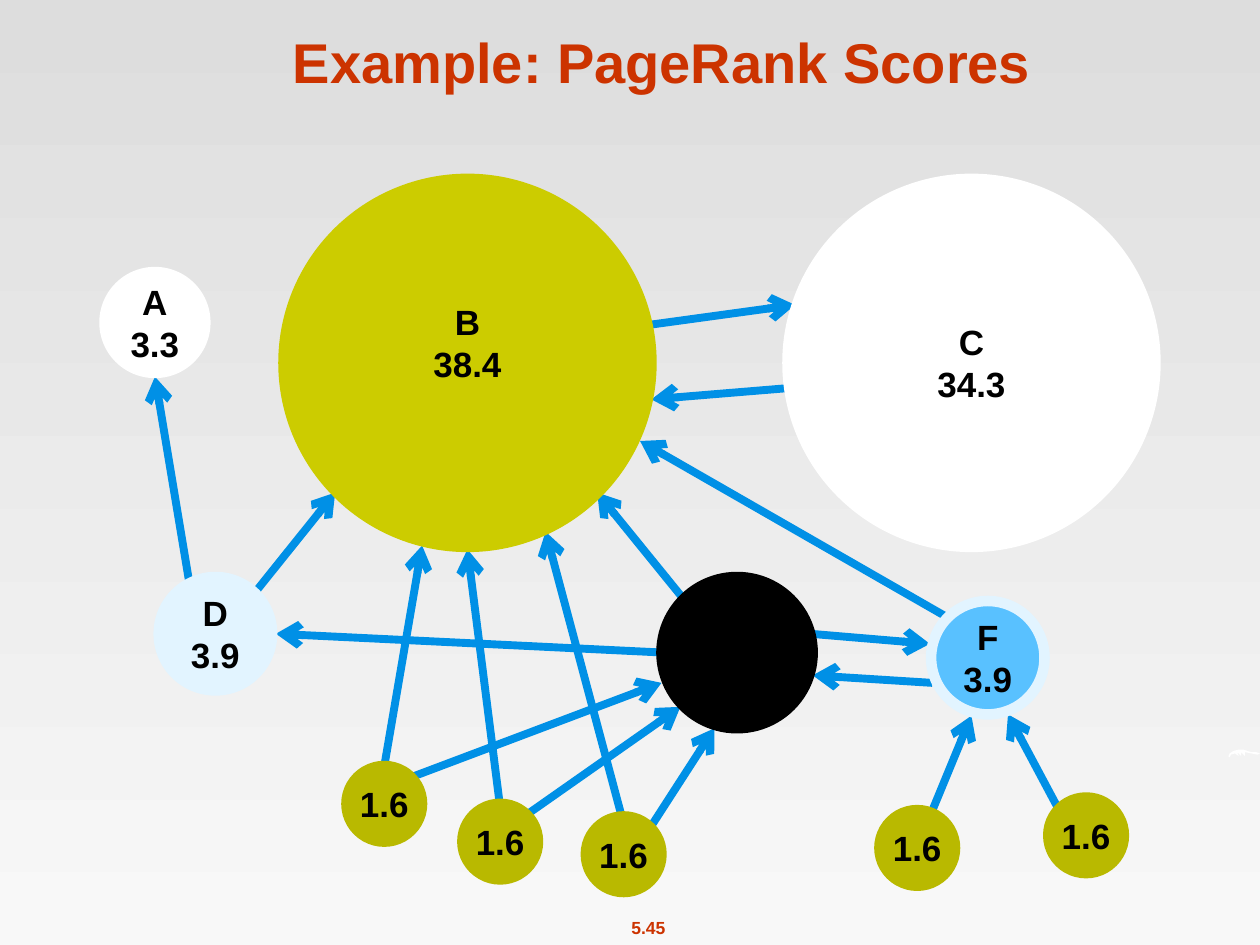
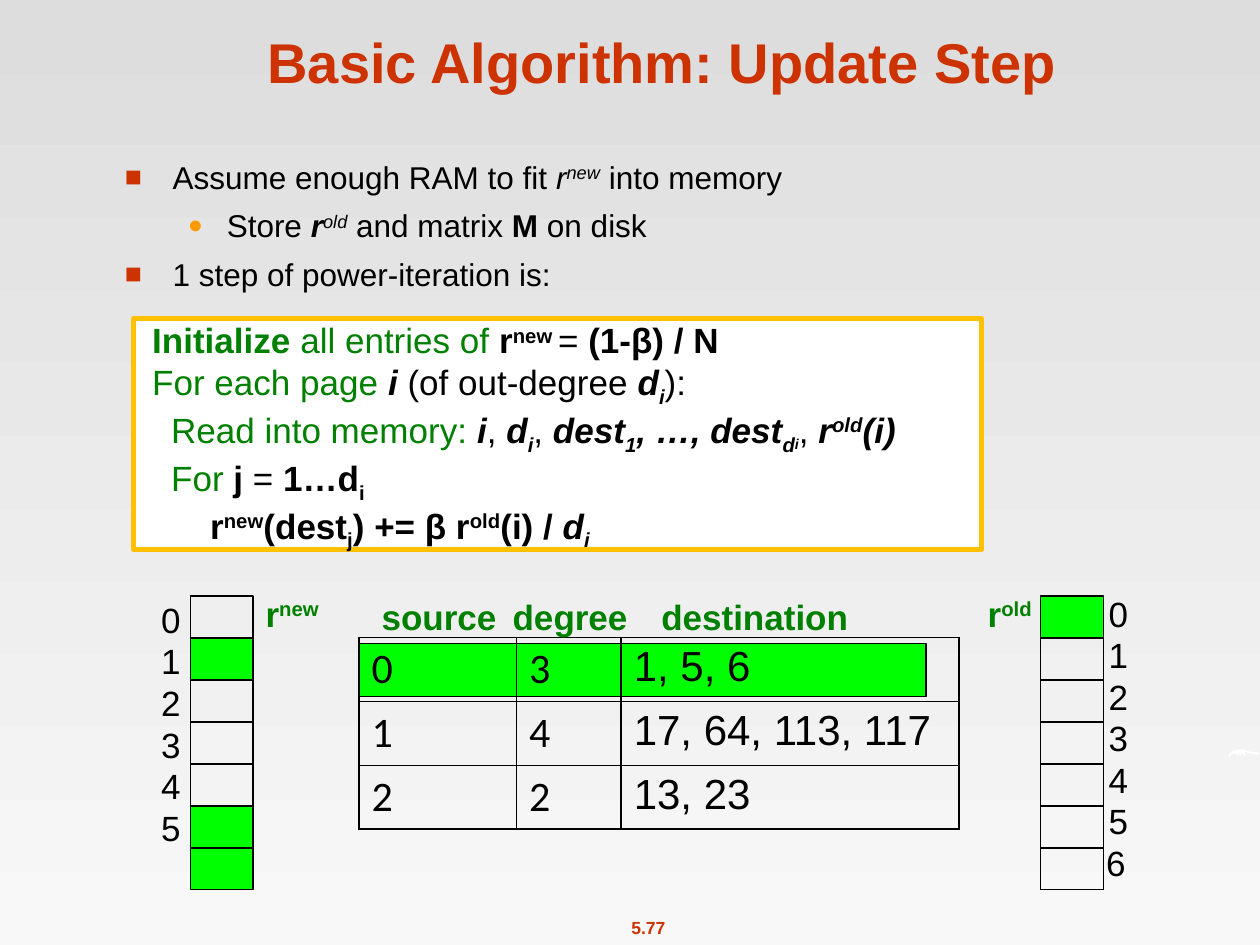
import pptx
import pptx.dml.color
import pptx.enum.shapes
import pptx.enum.text
import pptx.oxml
import pptx.oxml.ns
import pptx.util
from pptx.util import Inches, Pt

RGB = pptx.dml.color.RGBColor
RED = RGB(0xCC, 0x33, 0x00)
ORANGE = RGB(0xFF, 0x99, 0x00)
AMBER = RGB(0xFF, 0xC0, 0x00)
BLACK = RGB(0, 0, 0)
WHITE = RGB(0xFF, 0xFF, 0xFF)
GREEN = RGB(0x00, 0x80, 0x00)
LIME = RGB(0x00, 0xFF, 0x00)
OLIVE = RGB(0xB9, 0xB9, 0x00)
YELLOW = RGB(0xCC, 0xCC, 0x00)
BLUE = RGB(0x00, 0x90, 0xE6)
SKY = RGB(0x59, 0xC1, 0xFF)
PALE = RGB(0xE2, 0xF4, 0xFF)
GRAY_TOP = RGB(0xDD, 0xDD, 0xDD)
GRAY_BOTTOM = RGB(0xF8, 0xF8, 0xF8)

NS = pptx.oxml.ns.nsdecls("a")
SHAPE = pptx.enum.shapes.MSO_SHAPE
ANCHOR = pptx.enum.text.MSO_ANCHOR
AUTO_SIZE = pptx.enum.text.MSO_AUTO_SIZE
CENTER = pptx.enum.text.PP_ALIGN.CENTER


def write(p, runs, size=20, color=BLACK, font="Arial"):
    """Add (text, flags) runs: b bold, i italic, g green, ^ raised, _ lowered, s small."""
    for text, flags in runs:
        r = p.add_run()
        r.text = text
        values = {"name": font, "size": Pt(14 if "s" in flags else size),
                  "bold": "b" in flags, "italic": "i" in flags}
        for key, value in values.items():
            setattr(r.font, key, value)
        r.font.color.rgb = GREEN if "g" in flags else color
        for mark, baseline in (("^", "30000"), ("_", "-25000")):
            if mark in flags:
                r._r.get_or_add_rPr().set("baseline", baseline)


def add_shape(shapes, kind, x, y, w, h, fill, line, width):
    sp = shapes.add_shape(kind, Inches(x), Inches(y), Inches(w), Inches(h))
    sp.shadow.inherit = False
    if fill is None:
        sp.fill.background()
    else:
        sp.fill.solid()
        sp.fill.fore_color.rgb = fill
    sp.line.color.rgb = line
    sp.line.width = Pt(width)
    return sp


prs = pptx.Presentation()
prs.slide_width, prs.slide_height = Inches(10), Inches(7.5)

# Shared background, title, page number and edge mark
background = prs.slide_master.background.fill
background.gradient()
background.gradient_angle = 270
for stop, position, color in zip(background.gradient_stops, (0, 1), (GRAY_TOP, GRAY_BOTTOM)):
    stop.position = position
    stop.color.rgb = color

# Hundredths of an inch, as a freeform takes whole numbers
SWOOSH = [(975, 600), (976, 598), (979, 596), (983, 595), (987, 595), (993, 597),
          (997, 597), (1000, 598), (998, 599), (993, 598), (988, 597),
          (988, 600), (985, 597), (985, 600), (982, 597), (983, 600),
          (980, 598), (977, 599), (976, 601)]
labels = []  # slide, left, top, width, height, runs, size, colour
for layout, title, number in ((5, "Example: PageRank Scores", "5.45"),
                              (1, "Basic Algorithm: Update Step", "5.77")):
    s = prs.slides.add_slide(prs.slide_layouts[layout])
    sp = s.shapes.title
    sp.left, sp.top, sp.width, sp.height = map(Inches, (0.84, 0.13, 8.83, 0.67))
    tf = sp.text_frame
    tf.auto_size = AUTO_SIZE.NONE
    tf.vertical_anchor = ANCHOR.BOTTOM
    tf.paragraphs[0].alignment = CENTER
    write(tf.paragraphs[0], [(title, "b")], 32, RED)
    builder = s.shapes.build_freeform(975, 601, scale=Inches(0.01))
    builder.add_line_segments(SWOOSH, close=True)
    sp = builder.convert_to_shape()
    sp.shadow.inherit = False
    sp.fill.solid()
    sp.fill.fore_color.rgb = WHITE
    sp.line.fill.background()
    labels.append((s, 4.9, 7.23, 0.49, 0.27, [(number, "b")], 10, RED))

# Slide 1: link graph
s = prs.slides[0]
LINKS = [
    (5.14, 2.58, 6.31, 2.42), (6.26, 3.08, 5.17, 3.17), (5.43, 4.76, 4.74, 3.91),
    (2.01, 4.72, 2.66, 3.91), (1.5, 4.61, 1.23, 2.99), (3.05, 6.08, 3.35, 4.33),
    (3.26, 6.17, 5.25, 5.42), (5.28, 5.18, 2.19, 5.03), (3.97, 6.41, 3.71, 4.36),
    (4.16, 6.48, 5.4, 5.61), (5.16, 6.57, 5.67, 5.78), (4.95, 6.54, 4.33, 4.22),
    (7.38, 6.48, 7.71, 5.68), (8.4, 6.42, 8, 5.67), (7.52, 4.9, 5.08, 3.5),
    (7.4, 5.42, 6.45, 5.36), (6.43, 5.03, 7.38, 5.11),
]
for link in LINKS:
    c = s.shapes.add_connector(pptx.enum.shapes.MSO_CONNECTOR.STRAIGHT, *map(Inches, link))
    c.line.color.rgb = BLUE
    c.line.width = Pt(4.5)
    c.line._get_or_add_ln().append(pptx.oxml.parse_xml(f'<a:tailEnd {NS} type="arrow"/>'))
    c._element.spPr.append(pptx.oxml.parse_xml(f"<a:effectLst {NS}/>"))

PAGES = [  # left, top, diameter, fill, line, text lines
    (2.25, 1.42, 2.92, YELLOW, YELLOW, ("B", "38.4")),
    (6.25, 1.42, 2.92, WHITE, WHITE, ("C", "34.3")),
    (5.25, 4.58, 1.2, BLACK, BLACK, ()),
    (7.39, 4.77, 0.9, SKY, PALE, ("F", "3.9")),
    (1.26, 4.58, 0.9, PALE, PALE, ("D", "3.9")),
    (0.83, 2.16, 0.8, WHITE, WHITE, ("A", "3.3")),
]
for x, y in ((2.75, 6.08), (3.67, 6.38), (4.65, 6.48), (6.98, 6.43), (8.32, 6.33)):
    PAGES.append((x, y, 0.6, OLIVE, OLIVE, ("1.6",)))
for x, y, size, fill, line, lines in PAGES:
    sp = add_shape(s.shapes, SHAPE.OVAL, x, y, size, size, fill, line, 6)
    tf = sp.text_frame
    raised = 0.33 if "B" in lines else 0
    for key, value in {"margin_left": 0, "margin_right": 0, "margin_top": 0,
                       "margin_bottom": Inches(raised), "word_wrap": False,
                       "vertical_anchor": ANCHOR.MIDDLE}.items():
        setattr(tf, key, value)
    for i, text in enumerate(lines):
        p = tf.add_paragraph() if i else tf.paragraphs[0]
        p.alignment = CENTER
        write(p, [(text, "b")])

# Slide 2: bullets
s = prs.slides[1]
sp = s.placeholders[1]
sp.left, sp.top, sp.width, sp.height = map(Inches, (0.89, 1.2, 8.38, 5.36))
tf = sp.text_frame
tf.auto_size = AUTO_SIZE.NONE
BULLETS = [
    (0, [("Assume enough RAM to fit ", ""), ("r", "i"), ("new", "i^"), (" into memory", "")]),
    (1, [("Store ", ""), ("r", "bi"), ("old", "i^"), (" and matrix ", ""), ("M", "b"),
         (" on disk", "")]),
    (0, [("1 step of power-iteration is:", "")]),
]
BULLET_STYLES = [(0.38, 0.38, RED, 90, "■"), (0.81, 0.31, ORANGE, 80, "●")]
for i, (level, runs) in enumerate(BULLETS):
    p = tf.add_paragraph() if i else tf.paragraphs[0]
    p.level = level
    p.space_before = Pt(6.3)
    margin, hanging, color, percent, char = BULLET_STYLES[level]
    pPr = p._p.get_or_add_pPr()
    pPr.set("marL", str(Inches(margin)))
    pPr.set("indent", str(-Inches(hanging)))
    for xml in (f'<a:buClr {NS}><a:srgbClr val="{color}"/></a:buClr>',
                f'<a:buSzPct {NS} val="{percent}000"/>',
                f'<a:buFont {NS} typeface="Arial"/>',
                f'<a:buChar {NS} char="{char}"/>'):
        pPr.append(pptx.oxml.parse_xml(xml))
    write(p, runs, 18)

# Slide 2: rank vectors and code frame
add_shape(s.shapes, SHAPE.RECTANGLE, 1.06, 2.53, 6.73, 1.83, WHITE, AMBER, 3)
add_shape(s.shapes, SHAPE.RECTANGLE, 2.85, 5.11, 4.5, 0.42, LIME, BLACK, 0.75)
new_cells = s.shapes.add_group_shape().shapes
VECTORS = [  # container, left, filled cells, label left, label top, label count
    (new_cells, 1.51, (1, 5, 6), 1.18, 4.7, 6),
    (s.shapes, 8.26, (0,), 8.7, 4.65, 7),
]
for shapes, x, filled, label_x, label_y, count in VECTORS:
    for i in range(7):
        add_shape(shapes, SHAPE.RECTANGLE, x, 4.73 + i / 3, 0.5, 0.33,
                  LIME if i in filled else None, BLACK, 0.75)
    for i in range(count):
        labels.append((s, label_x - (0.02 if i == 6 else 0), label_y + 0.33 * i, 0.36, 0.43,
                       [(str(i), "")], 20, BLACK))

# Slide 2: link table
ROWS = [("0", "3", "1, 5, 6"), ("1", "4", "17, 64, 113, 117"), ("2", "2", "13, 23")]
table = s.shapes.add_table(3, 3, *map(Inches, (2.85, 5.06, 4.75, 1.5))).table
table.first_row = table.horz_banding = False
for column, width in zip(table.columns, (1.25, 0.83, 2.68)):
    column.width = Inches(width)
for row, texts in zip(table.rows, ROWS):
    row.height = Inches(0.5)
    for i, (cell, text) in enumerate(zip(row.cells, texts)):
        write(cell.text_frame.paragraphs[0], [(text, "")], 24,
              font="Arial" if i == 2 else "Calibri")
        tcPr = cell._tc.get_or_add_tcPr()
        for side in "LRTB":
            tcPr.append(pptx.oxml.parse_xml(
                f'<a:ln{side} {NS} w="12700"><a:solidFill><a:srgbClr val="{BLACK}"/>'
                f"</a:solidFill></a:ln{side}>"))
        cell.fill.background()

# Labels of both slides
for x, y, w, runs in ((2.93, 4.68, 1.12, [("source", "b")]),
                      (3.97, 4.68, 1.12, [("degree", "b")]),
                      (5.15, 4.68, 1.7, [("destination", "b")]),
                      (2.01, 4.65, 0.67, [("r", "b"), ("new", "b^")]),
                      (7.74, 4.65, 0.59, [("r", "b"), ("old", "b^")])):
    labels.append((s, x, y, w, 0.44, runs, 20, GREEN))
for slide, x, y, w, h, runs, size, color in labels:
    tf = slide.shapes.add_textbox(Inches(x), Inches(y), Inches(w), Inches(h)).text_frame
    tf.word_wrap = False
    tf.auto_size = AUTO_SIZE.SHAPE_TO_FIT_TEXT
    if size == 10:
        tf.paragraphs[0].alignment = CENTER
    write(tf.paragraphs[0], runs, size, color)

# Slide 2: algorithm
CODE = [  # indent, runs
    (0, [("Initialize", "bg"), (" all entries of ", "g"), ("r", "b"), ("new ", "b^"),
         ("= ", ""), ("(1-β) / N", "b")]),
    (0, [("For each page ", "g"), ("i", "bi"), (" (of out-degree ", ""), ("d", "bi"),
         ("i", "bi_"), ("):", "")]),
    (0.15, [("Read into memory: ", "g"), ("i", "bi"), (", ", ""), ("d", "bi"), ("i", "bi_"),
            (", ", ""), ("dest", "bi"), ("1", "bi_"), (", …, dest", "bi"), ("d", "bi_"),
            ("i", "bi_s"), (", ", ""), ("r", "bi"), ("old", "bi^"), ("(i)", "bi")]),
    (0.15, [("For ", "g"), ("j", "b"), (" = ", ""), ("1…d", "b"), ("i", "b_")]),
    (0.46, [("r", "b"), ("new", "b^"), ("(dest", "b"), ("j", "b_"), (") += β r", "b"),
            ("old", "b^"), ("(i) / ", "b"), ("d", "bi"), ("i", "bi_")]),
]
tf = s.shapes.add_textbox(*map(Inches, (1.11, 2.48, 6.69, 1.78))).text_frame
tf.word_wrap = True
tf.auto_size = AUTO_SIZE.SHAPE_TO_FIT_TEXT
for i, (indent, runs) in enumerate(CODE):
    p = tf.add_paragraph() if i else tf.paragraphs[0]
    p._p.get_or_add_pPr().set("marL", str(Inches(indent)))
    write(p, runs)

prs.save("out.pptx")
